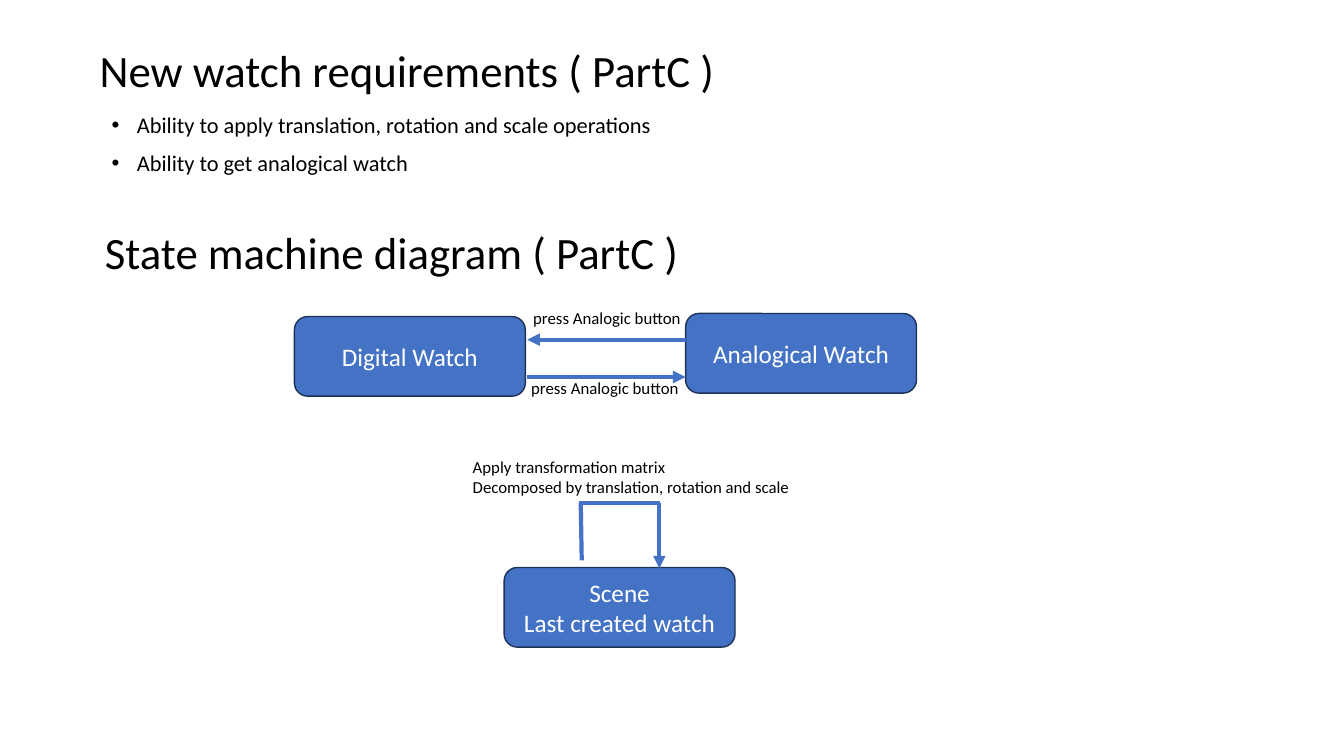
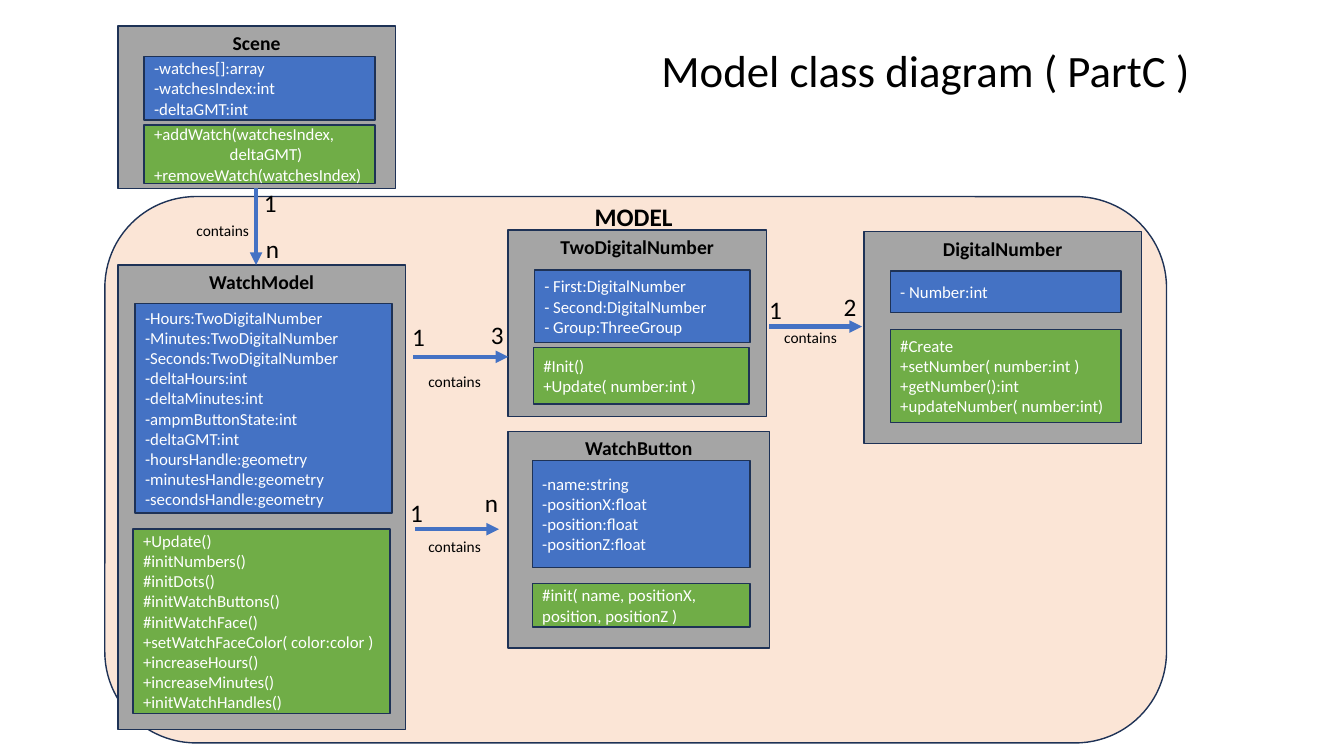
from lxml import etree
from pptx import Presentation
from pptx.dml.color import RGBColor
from pptx.enum.shapes import MSO_CONNECTOR, MSO_SHAPE
from pptx.enum.text import MSO_ANCHOR, MSO_AUTO_SIZE, PP_ALIGN
from pptx.oxml.ns import qn
from pptx.util import Pt

# Scale: 100 px to the inch
PX = 9144

# Shared look
FONT = "Calibri"
BLACK = RGBColor(0x00, 0x00, 0x00)
WHITE = RGBColor(0xFF, 0xFF, 0xFF)
BLUE = RGBColor(0x44, 0x72, 0xC4)
GREEN = RGBColor(0x70, 0xAD, 0x47)
GRAY = RGBColor(0xA5, 0xA5, 0xA5)
PEACH = RGBColor(0xFB, 0xE5, 0xD6)
NAVY = RGBColor(0x1E, 0x32, 0x56)

RECT, ROUND = MSO_SHAPE.RECTANGLE, MSO_SHAPE.ROUNDED_RECTANGLE
STRAIGHT = MSO_CONNECTOR.STRAIGHT
LEFT, CENTER = PP_ALIGN.LEFT, PP_ALIGN.CENTER
TOP, MIDDLE = MSO_ANCHOR.TOP, MSO_ANCHOR.MIDDLE
NO_FIT = MSO_AUTO_SIZE.NONE
TITLE_ONLY = 5


def scale(*sizes):
    return [size * PX for size in sizes]


def write(shape, lines, size, color=BLACK, bold=False, align=LEFT,
          anchor=TOP, tight=False):
    """Fill a shape with one paragraph per line."""
    frame = shape.text_frame
    frame.word_wrap = True
    frame.auto_size = NO_FIT
    frame.vertical_anchor = anchor
    for i, line in enumerate(lines):
        para = frame.add_paragraph() if i else frame.paragraphs[0]
        para.alignment = align
        if tight:
            para.line_spacing = 0.9
        run = para.add_run()
        run.text = line
        run.font.name = FONT
        run.font.size = Pt(size)
        run.font.bold = bold
        run.font.color.rgb = color


def indent(para, left, first=0):
    props = para._p.get_or_add_pPr()
    props.set("marL", str(left * PX))
    props.set("indent", str(first * PX))
    return props


def label(slide, at, lines, size, **style):
    box = slide.shapes.add_textbox(*scale(*at))
    write(box, lines, size, **style)
    return box


def head(shape, text):
    write(shape, [text], 32, anchor=MIDDLE, tight=True)


def title(slide, at, text):
    shape = slide.shapes.title
    shape.left, shape.top, shape.width, shape.height = scale(*at)
    head(shape, text)


def bullets(slide, at, lines):
    box = label(slide, at, lines, 16, tight=True)
    for i, para in enumerate(box.text_frame.paragraphs):
        props = indent(para, 25, -25)
        etree.SubElement(props, qn("a:buFont"), typeface="Arial")
        etree.SubElement(props, qn("a:buChar"), char="•")
        if i:
            para.space_before = Pt(10)


def block(slide, kind, at, fill):
    shape = slide.shapes.add_shape(kind, *scale(*at))
    shape.shadow.inherit = False
    shape.fill.solid()
    shape.fill.fore_color.rgb = fill
    shape.line.color.rgb = NAVY
    shape.line.width = Pt(1)
    return shape


def state(slide, x, y, *lines):
    shape = block(slide, ROUND, (x, y, 229, 79), BLUE)
    write(shape, lines, 18, WHITE, align=CENTER, anchor=MIDDLE)


def link(slide, ends, arrow=True):
    line = slide.shapes.add_connector(STRAIGHT, *scale(*ends))
    line.line.color.rgb = BLUE
    line.line.width = Pt(3)
    props = line._element.spPr
    if arrow:
        etree.SubElement(line.line._get_or_add_ln(), qn("a:tailEnd"),
                         type="triangle")
    etree.SubElement(props, qn("a:effectLst"))


def entity(slide, name, at, *parts):
    """Draw a class box; return its last inner box."""
    write(block(slide, RECT, at, GRAY), [name], 14, bold=True, align=CENTER)
    for fill, (place, lines) in zip((BLUE, GREEN), parts):
        inner = block(slide, RECT, place, fill)
        write(inner, lines, 12, WHITE, anchor=MIDDLE)
    return inner


def contain(slide, ends, note, *counts):
    """Draw a containment arrow with its note and end counts."""
    link(slide, ends)
    label(slide, (*note, 76, 29), ["contains"], 11)
    for x, y, text in counts:
        label(slide, (x, y, 24, 40), [text], 18)


def states(slide):
    # Headings and requirements
    title(slide, (94, 180, 1150, 145), "State machine diagram ( PartC )")
    top = slide.shapes.add_textbox(*scale(89, 0, 1150, 145))
    head(top, "New watch requirements ( PartC )")
    bullets(slide, (101, 108, 1150, 120), [
        "Ability to apply translation, rotation and scale operations",
        "Ability to get analogical watch"])

    # Switch between the two watches
    state(slide, 680, 311, "Analogical Watch")
    state(slide, 292, 314, "Digital Watch")
    for x, y in ((517, 370), (519, 300)):
        label(slide, (x, y, 177, 30), ["press Analogic button"], 12)
    link(slide, (523, 374, 680, 374))
    link(slide, (680, 337, 523, 337))

    # Scene with its loop
    state(slide, 500, 563, "Scene", "Last created watch")
    link(slide, (654, 499, 654, 564))
    link(slide, (655, 499, 574, 499), arrow=False)
    link(slide, (576, 499, 577, 556), arrow=False)
    label(slide, (459, 448, 355, 50), [
        "Apply transformation matrix",
        "Decomposed by translation, rotation and scale"], 12)


def model(slide):
    # Heading and model area
    title(slide, (646, 0, 598, 145), "Model class diagram ( PartC )")
    block(slide, ROUND, (104, 195, 1053, 542), PEACH)
    label(slide, (580, 195, 164, 40), ["MODEL"], 18, bold=True)

    # Classes
    entity(slide, "DigitalNumber", (857, 230, 275, 210),
           ((883, 269, 229, 41), ["- Number:int"]),
           ((883, 327, 229, 92), [
               "#Create", "+setNumber( number:int )", "+getNumber():int",
               "+updateNumber( number:int)"]))
    entity(slide, "TwoDigitalNumber", (504, 228, 256, 185),
           ((530, 268, 214, 72), [
               "- First:DigitalNumber", "- Second:DigitalNumber",
               "- Group:ThreeGroup"]),
           ((529, 345, 214, 56), ["#Init()", "+Update( number:int )"]))
    entity(slide, "WatchModel", (117, 263, 285, 461),
           ((134, 301, 255, 208), [
               "-Hours:TwoDigitalNumber", "-Minutes:TwoDigitalNumber",
               "-Seconds:TwoDigitalNumber", "-deltaHours:int",
               "-deltaMinutes:int", "-ampmButtonState:int",
               "-deltaGMT:int", "-hoursHandle:geometry",
               "-minutesHandle:geometry", "-secondsHandle:geometry"]),
           ((132, 525, 255, 183), [
               "+Update()", "#initNumbers()", "#initDots()",
               "#initWatchButtons()", "#initWatchFace()",
               "+setWatchFaceColor( color:color )", "+increaseHours()",
               "+increaseMinutes()", "+initWatchHandles()"]))
    entity(slide, "WatchButton", (504, 428, 259, 215),
           ((528, 457, 216, 106), [
               "-name:string", "-positionX:float", "-position:float",
               "-positionZ:float"]),
           ((528, 579, 216, 43), [
               "#init( name, positionX, position, positionZ )"]))
    calls = entity(slide, "Scene", (117, 26, 275, 161),
                   ((143, 56, 229, 63), [
                       "-watches[]:array", "-watchesIndex:int",
                       "-deltaGMT:int"]),
                   ((143, 124, 229, 58), [
                       "+addWatch(watchesIndex,", "deltaGMT)",
                       "+removeWatch(watchesIndex)"]))
    indent(calls.text_frame.paragraphs[1], 75)

    # Containment arrows
    contain(slide, (410, 354, 504, 354), (415, 364),
            (399, 314, "1"), (477, 312, "3"))
    contain(slide, (763, 324, 855, 324), (768, 321),
            (753, 287, "1"), (827, 284, "2"))
    contain(slide, (412, 525, 495, 525), (415, 528),
            (397, 488, "1"), (471, 479, "n"))
    contain(slide, (254, 187, 254, 263), (185, 214),
            (252, 181, "1"), (254, 227, "n"))


def main():
    deck = Presentation()
    deck.slide_width, deck.slide_height = scale(1333, 750)
    for draw in (states, model):
        draw(deck.slides.add_slide(deck.slide_layouts[TITLE_ONLY]))
    deck.save("out.pptx")


if __name__ == "__main__":
    main()
